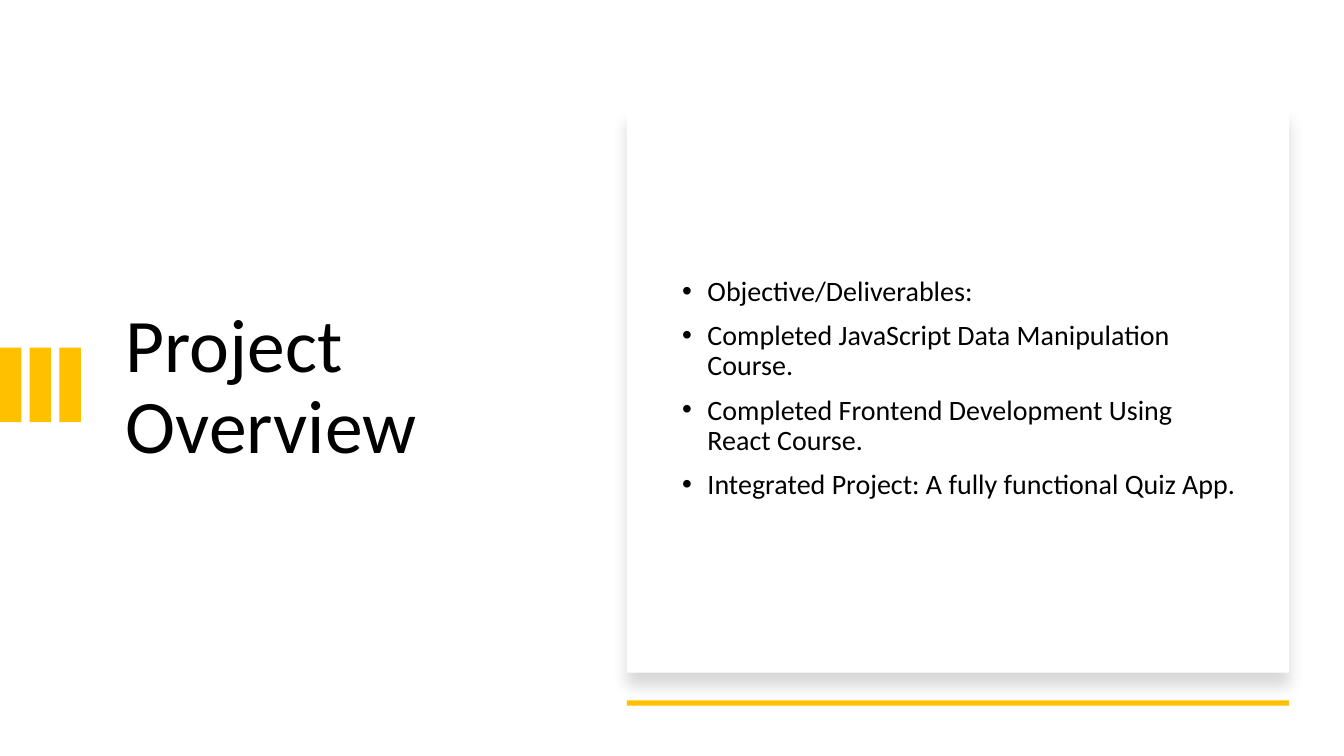
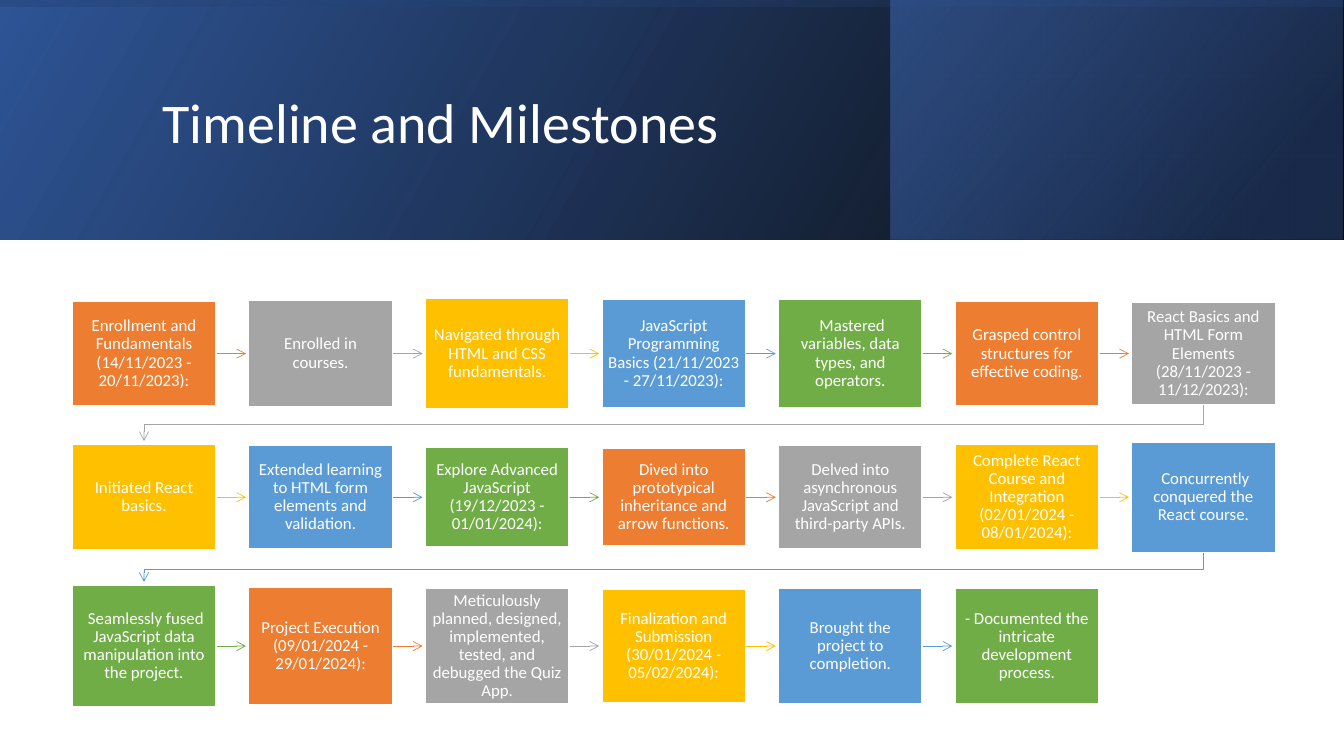
from dataclasses import dataclass

from lxml.etree import SubElement
from pptx import Presentation
from pptx.dml.color import RGBColor
from pptx.enum.shapes import MSO_CONNECTOR, MSO_SHAPE
from pptx.enum.text import MSO_ANCHOR, PP_ALIGN
from pptx.oxml import parse_xml
from pptx.oxml.ns import nsdecls, qn
from pptx.util import Cm, Pt


@dataclass(frozen=True)
class Theme:
    font: str = "Calibri"
    dark: str = "000000"
    light: str = "FFFFFF"
    accent: str = "FFC000"
    cycle: tuple = ("ED7D31", "A5A5A5", "FFC000", "5B9BD5", "70AD47")
    opening: int = 54
    heading: int = 40
    body: int = 20
    step: int = 12


T = Theme()
SLIDE_W, SLIDE_H = 33.87, 19.05
BAND_H = 6.03
STEP_LEFT, STEP_W, STEP_PITCH = 1.82, 3.62, 4.45
STEP_INSET_X, STEP_INSET_Y = 0.15, 0.18
ARROW_GAP, ARROW_LEN = 0.02, 0.74

OBJECTIVES = [
    "Objective/Deliverables:",
    "Completed JavaScript Data Manipulation Course.",
    "Completed Frontend Development Using React Course.",
    "Integrated Project: A fully functional Quiz App.",
]

STEP_ROWS = [
    (8.91, [
        ("Enrollment and Fundamentals (14/11/2023 - 20/11/2023):", 2.62),
        ("Enrolled in courses.", 2.67),
        ("Navigated through HTML and CSS fundamentals.", 2.77),
        ("JavaScript Programming Basics (21/11/2023 - 27/11/2023):", 2.72),
        (" Mastered variables, data types, and operators.", 2.72),
        ("Grasped control structures for effective coding.", 2.62),
        ("React Basics and HTML Form Elements (28/11/2023 - 11/12/2023):", 2.57),
    ]),
    (12.53, [
        ("Initiated React basics.", 2.67),
        ("Extended learning to HTML form elements and validation.", 2.62),
        ("Explore Advanced JavaScript (19/12/2023 - 01/01/2024):", 2.49),
        ("Dived into prototypical inheritance and arrow functions.", 2.44),
        ("Delved into asynchronous JavaScript and third-party APIs.", 2.62),
        ("Complete React Course and Integration (02/01/2024 - 08/01/2024):", 2.67),
        (" Concurrently conquered the React course.", 2.79),
    ]),
    (16.28, [
        (" Seamlessly fused JavaScript data manipulation into the project.", 3.07),
        ("Project Execution (09/01/2024 - 29/01/2024):", 2.97),
        ("Meticulously planned, designed, implemented, tested, and debugged the Quiz App.", 2.92),
        ("Finalization and Submission (30/01/2024 - 05/02/2024):", 2.87),
        ("Brought the project to completion.", 2.92),
        ("- Documented the intricate development process.", 2.92),
    ]),
]


def rgb(color):
    return RGBColor.from_string(color)


def add_rect(s, x, y, w, h, color=None):
    sp = s.shapes.add_shape(MSO_SHAPE.RECTANGLE, Cm(x), Cm(y), Cm(w), Cm(h))
    sp.shadow.inherit = False
    sp.line.fill.background()
    if color:
        sp.fill.solid()
        sp.fill.fore_color.rgb = rgb(color)
    return sp


def add_gradient_rect(s, x, y, w, h, stops, angle, rotation=0):
    sp = add_rect(s, x, y, w, h)
    sp.fill.background()
    sp.rotation = rotation
    spPr = sp._element.spPr
    spPr.find(qn("a:xfrm")).set("flipH", "1")
    marks = "".join(
        f'<a:gs pos="{pos * 1000}"><a:srgbClr val="{color}">'
        f'<a:alpha val="{alpha * 1000}"/></a:srgbClr></a:gs>'
        for pos, color, alpha in stops
    )
    grad = parse_xml(
        f'<a:gradFill {nsdecls("a")} rotWithShape="1"><a:gsLst>{marks}</a:gsLst>'
        f'<a:lin ang="{angle * 60000}" scaled="0"/></a:gradFill>'
    )
    spPr.replace(spPr.find(qn("a:noFill")), grad)


def add_soft_shadow(sp):
    effects = sp._element.spPr.find(qn("a:effectLst"))
    effects.append(parse_xml(
        f'<a:outerShdw {nsdecls("a")} blurRad="{Pt(11)}" dist="{Pt(10)}" '
        'dir="5400000" algn="t" rotWithShape="0"><a:srgbClr val="000000">'
        '<a:alpha val="15000"/></a:srgbClr></a:outerShdw>'
    ))


def write(tf, lines, size, color, align=PP_ALIGN.LEFT):
    tf.word_wrap = True
    tf.vertical_anchor = MSO_ANCHOR.MIDDLE
    tf.text = "\n".join(lines)
    for p in tf.paragraphs:
        p.alignment = align
        p.line_spacing = 0.9
        for r in p.runs:
            r.font.name = T.font
            r.font.size = Pt(size)
            r.font.color.rgb = rgb(color)


def add_text(s, x, y, w, h, lines, size, color):
    tf = s.shapes.add_textbox(Cm(x), Cm(y), Cm(w), Cm(h)).text_frame
    write(tf, lines, size, color)
    return tf


def add_bullets(tf):
    for p in tf.paragraphs:
        p.space_before = Pt(10)
        pPr = p._p.get_or_add_pPr()
        pPr.set("marL", str(Cm(0.64)))
        pPr.set("indent", str(-Cm(0.64)))
        SubElement(pPr, qn("a:buFont"), typeface="Arial")
        SubElement(pPr, qn("a:buChar"), char="•")


def style_arrow(sp, color):
    sp.line.color.rgb = rgb(color)
    sp.line.width = Pt(0.5)
    spPr = sp._element.spPr
    SubElement(spPr.find(qn("a:ln")), qn("a:tailEnd"), type="arrow")
    if spPr.find(qn("a:effectLst")) is None:
        SubElement(spPr, qn("a:effectLst"))


def add_arrow(s, x, y, color):
    line = s.shapes.add_connector(
        MSO_CONNECTOR.STRAIGHT, Cm(x), Cm(y), Cm(x + ARROW_LEN), Cm(y))
    style_arrow(line, color)


def add_return_arrow(s, x1, y1, x2, y2, color):
    turn = (y1 + y2) / 2 + 0.05
    path = s.shapes.build_freeform(Cm(x1), Cm(y1))
    path.add_line_segments(
        [(Cm(x1), Cm(turn)), (Cm(x2), Cm(turn)), (Cm(x2), Cm(y2))], close=False)
    sp = path.convert_to_shape()
    sp.fill.background()
    sp.shadow.inherit = False
    style_arrow(sp, color)


def add_step(s, x, middle, h, text, color):
    sp = add_rect(s, x, middle - h / 2, STEP_W, h, color)
    sp.line.color.rgb = rgb(T.light)
    sp.line.width = Pt(1)
    tf = sp.text_frame
    tf.margin_left = tf.margin_right = Cm(STEP_INSET_X)
    tf.margin_top = tf.margin_bottom = Cm(STEP_INSET_Y)
    write(tf, [text], T.step, T.light, PP_ALIGN.CENTER)


def add_timeline(s):
    index = 0
    for row, (middle, steps) in enumerate(STEP_ROWS):
        for col, (text, h) in enumerate(steps):
            color = T.cycle[index % len(T.cycle)]
            x = STEP_LEFT + col * STEP_PITCH
            if col < len(steps) - 1:
                add_arrow(s, x + STEP_W + ARROW_GAP, middle, color)
            elif row < len(STEP_ROWS) - 1:
                next_middle, next_steps = STEP_ROWS[row + 1]
                next_top = next_middle - next_steps[0][1] / 2
                add_return_arrow(s, x + STEP_W / 2, middle + h / 2,
                                 STEP_LEFT + STEP_W / 2, next_top - 0.08, color)
            add_step(s, x, middle, h, text, color)
            index += 1


def build_overview(s):
    add_text(s, 2.92, 3.81, 10.82, 11.96, ["Project Overview"], T.opening, T.dark)
    for i in range(3):
        add_rect(s, i * 0.75, 8.76, 0.54, 1.88, T.accent)
    card_x, card_w = 15.8, 16.69
    card = add_rect(s, card_x, 2.72, card_w, 14.23, T.light)
    add_soft_shadow(card)
    add_bullets(add_text(s, 16.94, 3.82, 14.5, 11.96, OBJECTIVES, T.body, T.dark))
    add_rect(s, card_x, 17.65, card_w, 0.13, T.accent)


def build_milestones(s):
    add_gradient_rect(s, 0, 0, SLIDE_W, BAND_H,
                      [(0, "000000", 96), (100, "2F5597", 100)], 330)
    add_gradient_rect(s, 22.45, 0, 11.39, BAND_H,
                      [(19, "203864", 68), (100, "4472C4", 48)], 320)
    offset = (SLIDE_W - BAND_H) / 2
    add_gradient_rect(s, offset, -offset, BAND_H, SLIDE_W,
                      [(23, "2F5597", 16), (99, "000000", 45)], 350, 270)
    add_text(s, 3.85, 0.97, 27, 4.37, ["Timeline and Milestones"], T.heading, T.light)
    add_timeline(s)


def main():
    prs = Presentation()
    prs.slide_width, prs.slide_height = Cm(SLIDE_W), Cm(SLIDE_H)
    for build in (build_overview, build_milestones):
        build(prs.slides.add_slide(prs.slide_layouts[6]))
    prs.save("out.pptx")


if __name__ == "__main__":
    main()
